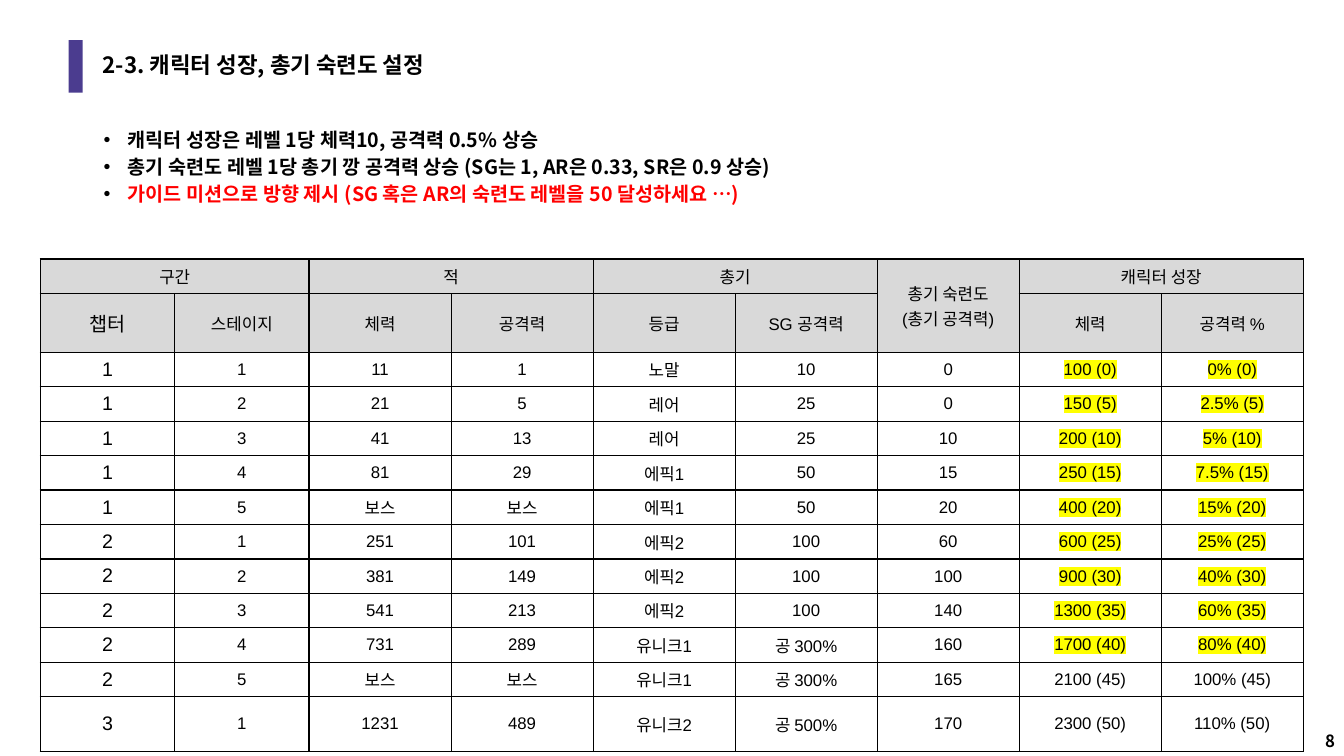
import dataclasses

import lxml.etree
import pptx
import pptx.dml.color
import pptx.enum.shapes
import pptx.enum.text
import pptx.oxml.ns
import pptx.util

ALIGN = pptx.enum.text.PP_ALIGN
ANCHOR = pptx.enum.text.MSO_ANCHOR


@dataclasses.dataclass(frozen=True)
class Theme:
    """Colours, fonts and type sizes of the slide."""
    ink: str = "000000"
    accent: str = "4B3C8F"
    alert: str = "FF0000"
    header: str = "D9D9D9"
    marker: str = "FFFF00"
    heading_font: str = "Noto Sans CJK KR"
    table_font: str = "Arial"
    title: int = 16
    body: int = 14
    small: int = 12


def add_xml(parent, tag, **attributes):
    """Append a DrawingML element and return it."""
    return lxml.etree.SubElement(parent, pptx.oxml.ns.qn("a:" + tag), **attributes)


def rgb(colour):
    """Turn a hex string into a colour."""
    return pptx.dml.color.RGBColor.from_string(colour)


class SlideBuilder:
    """Draws styled elements; lengths are percentages of the slide's size."""

    def __init__(self, presentation, theme):
        """Add a title-only slide."""
        self.presentation = presentation
        self.theme = theme
        self.slide = presentation.slides.add_slide(presentation.slide_layouts[5])

    def across(self, percent):
        """Convert a share of the slide's width."""
        return int(self.presentation.slide_width * percent / 100)

    def down(self, percent):
        """Convert a share of the slide's height."""
        return int(self.presentation.slide_height * percent / 100)

    def box(self, left, top, width, height):
        """Convert a box given in shares."""
        return self.across(left), self.down(top), self.across(width), self.down(height)

    def style(self, paragraph, size, font, bold=False, colour=None, align=ALIGN.LEFT):
        """Format a whole paragraph."""
        paragraph.alignment = align
        paragraph.font.size = pptx.util.Pt(size)
        paragraph.font.bold = bold
        paragraph.font.color.rgb = rgb(colour or self.theme.ink)
        paragraph.font.name = font
        defaults = paragraph.font._element
        add_xml(defaults, "ea", typeface=self.theme.heading_font)

    def title(self, text, *box):
        """Place and format the title placeholder."""
        shape = self.slide.shapes.title
        shape.left, shape.top, shape.width, shape.height = self.box(*box)
        frame = shape.text_frame
        frame.text = text
        frame.auto_size = pptx.enum.text.MSO_AUTO_SIZE.NONE
        frame.vertical_anchor = ANCHOR.MIDDLE
        frame.paragraphs[0].line_spacing = 0.9
        self.style(frame.paragraphs[0], self.theme.title, self.theme.heading_font, True)

    def bar(self, *box):
        """Draw a plain accent rectangle."""
        shape = self.slide.shapes.add_shape(
            pptx.enum.shapes.MSO_SHAPE.RECTANGLE, *self.box(*box))
        shape.shadow.inherit = False
        shape.fill.solid()
        shape.fill.fore_color.rgb = rgb(self.theme.accent)
        shape.line.fill.background()

    def text_box(self, text, *box, anchor=ANCHOR.TOP):
        """Add a wrapping text box and return its frame."""
        frame = self.slide.shapes.add_textbox(*self.box(*box)).text_frame
        frame.word_wrap = True
        frame.vertical_anchor = anchor
        frame.text = text
        return frame

    def page_number(self, text, *box):
        """Write the page number."""
        frame = self.text_box(text, *box, anchor=ANCHOR.BOTTOM)
        self.style(frame.paragraphs[0], self.theme.small, self.theme.heading_font,
                   True, align=ALIGN.RIGHT)

    def bullets(self, items, *box):
        """Write a bulleted list of (text, colour) items."""
        frame = self.text_box("\n".join(text for text, _ in items), *box)
        for paragraph, (_, colour) in zip(frame.paragraphs, items):
            paragraph.line_spacing = 1.16
            properties = paragraph._p.get_or_add_pPr()
            properties.set("marL", str(pptx.util.Inches(0.25)))
            properties.set("indent", str(pptx.util.Inches(-0.24)))
            add_xml(add_xml(properties, "buClr"), "srgbClr", val=self.theme.ink)
            add_xml(properties, "buFont", typeface=self.theme.table_font)
            add_xml(properties, "buChar", char="•")
            self.style(paragraph, self.theme.body, self.theme.heading_font, True, colour)

    def borders(self, cell):
        """Draw a thin line on every side of a cell."""
        properties = cell._tc.get_or_add_tcPr()
        for position, side in enumerate(("lnL", "lnR", "lnT", "lnB")):
            line = add_xml(properties, side, w=str(pptx.util.Pt(1)))
            add_xml(add_xml(line, "solidFill"), "srgbClr", val=self.theme.ink)
            properties.insert(position, line)

    def cell(self, cell, text, size, header, marked):
        """Fill and format one table cell."""
        cell.text = text
        cell.vertical_anchor = ANCHOR.MIDDLE
        if header:
            cell.fill.solid()
            cell.fill.fore_color.rgb = rgb(self.theme.header)
        else:
            cell.fill.background()
        self.borders(cell)
        for paragraph in cell.text_frame.paragraphs:
            self.style(paragraph, size, self.theme.table_font, align=ALIGN.CENTER)
            if marked:
                properties = paragraph.runs[0]._r.get_or_add_rPr()
                add_xml(add_xml(properties, "highlight"), "srgbClr", val=self.theme.marker)

    def table(self, rows, left, top, widths, heights, merges, header_rows, is_marked):
        """Add a table; merges are (row, column, last row, last column)."""
        frame = self.slide.shapes.add_table(
            len(rows), len(widths), *self.box(left, top, sum(widths), sum(heights)))
        table = frame.table
        table.first_row = table.horz_banding = False
        for column, width in zip(table.columns, widths):
            column.width = self.across(width)
        for row, height in zip(table.rows, heights):
            row.height = self.down(height)
        for row, values in enumerate(rows):
            for column, text in enumerate(values):
                chapter = column == 0 and row > 0
                size = self.theme.body if chapter else self.theme.small
                self.cell(table.cell(row, column), text, size,
                          row < header_rows, is_marked(row, column))
        for row, column, last_row, last_column in merges:
            table.cell(row, column).merge(table.cell(last_row, last_column))


HEADERS = [
    ("구간", "", "적", "", "총기", "", "총기 숙련도\n(총기 공격력)", "캐릭터 성장", ""),
    ("챕터", "스테이지", "체력", "공격력", "등급", "SG 공격력", "", "체력", "공격력 %"),
]
STAGES = [
    ("1", "1", "11", "1", "노말", "10", "0", "100 (0)", "0% (0)"),
    ("1", "2", "21", "5", "레어", "25", "0", "150 (5)", "2.5% (5)"),
    ("1", "3", "41", "13", "레어", "25", "10", "200 (10)", "5% (10)"),
    ("1", "4", "81", "29", "에픽1", "50", "15", "250 (15)", "7.5% (15)"),
    ("1", "5", "보스", "보스", "에픽1", "50", "20", "400 (20)", "15% (20)"),
    ("2", "1", "251", "101", "에픽2", "100", "60", "600 (25)", "25% (25)"),
    ("2", "2", "381", "149", "에픽2", "100", "100", "900 (30)", "40% (30)"),
    ("2", "3", "541", "213", "에픽2", "100", "140", "1300 (35)", "60% (35)"),
    ("2", "4", "731", "289", "유니크1", "공 300%", "160", "1700 (40)", "80% (40)"),
    ("2", "5", "보스", "보스", "유니크1", "공 300%", "165", "2100 (45)", "100% (45)"),
    ("3", "1", "1231", "489", "유니크2", "공 500%", "170", "2300 (50)", "110% (50)"),
]
GROWTH_COLUMN = 7
MARKED_ROWS = range(2, 11)

presentation = pptx.Presentation()
presentation.slide_width = pptx.util.Inches(13.33)
presentation.slide_height = pptx.util.Inches(7.5)
theme = Theme()
builder = SlideBuilder(presentation, theme)

builder.page_number("8", 93.17, 94.67, 6.9, 5.33)
builder.bar(5.1, 5.33, 1.05, 6.93)
builder.title("2-3. 캐릭터 성장, 총기 숙련도 설정", 6.9, 5.33, 86.27, 6.93)
builder.table(
    HEADERS + STAGES, 3, 34.27,
    widths=[10] * 2 + [10.57] * 7,
    heights=[4.6, 7.73] + [4.56] * 10 + [7.2],
    merges=[(0, 0, 0, 1), (0, 2, 0, 3), (0, 4, 0, 5), (0, 6, 1, 6), (0, 7, 0, 8)],
    header_rows=len(HEADERS),
    is_marked=lambda row, column: row in MARKED_ROWS and column >= GROWTH_COLUMN)
builder.bullets([
    ("캐릭터 성장은 레벨 1당 체력10, 공격력 0.5% 상승", theme.ink),
    ("총기 숙련도 레벨 1당 총기 깡 공격력 상승 (SG는 1, AR은 0.33, SR은 0.9 상승)", theme.ink),
    ("가이드 미션으로 방향 제시 (SG 혹은 AR의 숙련도 레벨을 50 달성하세요 …)", theme.alert),
], 6.9, 15.73, 86.27, 14.93)

presentation.save("out.pptx")
